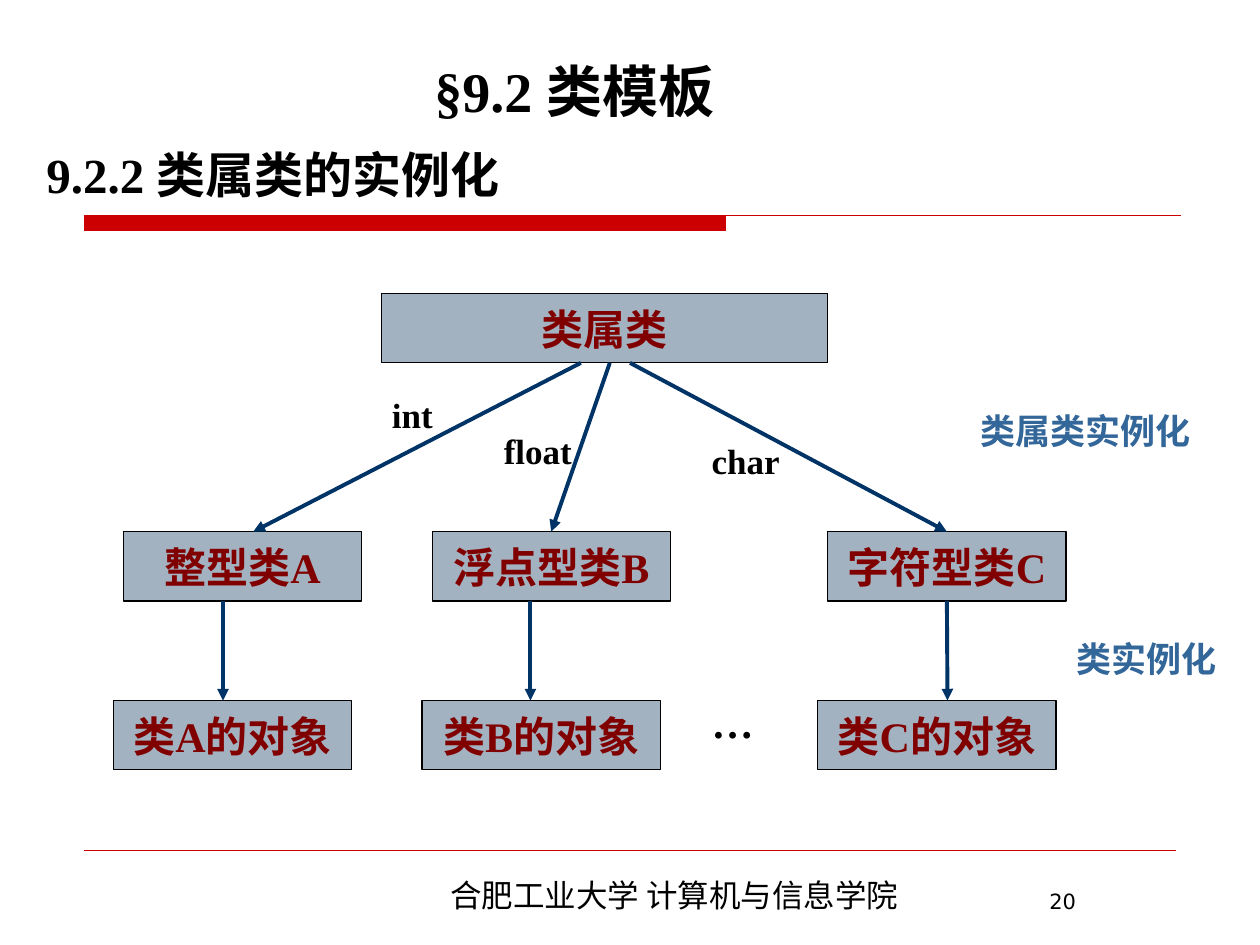
from dataclasses import dataclass
from typing import Optional

from lxml.etree import SubElement
from pptx import Presentation
from pptx.dml.color import RGBColor
from pptx.enum.shapes import MSO_CONNECTOR, MSO_SHAPE
from pptx.enum.text import MSO_ANCHOR, PP_ALIGN
from pptx.oxml.ns import qn
from pptx.util import Inches, Pt

COLORS = {
    "red": "CC0000",
    "black": "000000",
    "box": "A3B2C1",
    "maroon": "800000",
    "navy": "003366",
    "blue": "336699",
}
SERIF = "Times New Roman"
SANS = "Noto Sans CJK SC"
BOX_H, BOX_W = 0.55, 1.89
ROOT_Y, CLASS_Y, OBJECT_Y = 2.33, 4.22, 5.56
INSET = (0.1, 0.05)
FLUSH = (0, 0)


@dataclass
class Label:
    text: str
    x: float
    y: float
    w: float
    h: float
    size: int = 20
    color: str = "black"
    font: str = SERIF
    bold: bool = True
    align: PP_ALIGN = PP_ALIGN.LEFT
    anchor: MSO_ANCHOR = MSO_ANCHOR.TOP
    inset: tuple = INSET
    spacing: Optional[float] = None


@dataclass
class Box:
    text: str
    x: float
    y: float
    w: float = BOX_W
    font: str = SERIF


@dataclass
class Arrow:
    x1: float
    y1: float
    x2: float
    y2: float
    begin: Optional[str] = None
    end: Optional[str] = None


def rgb(name: str) -> RGBColor:
    return RGBColor.from_string(COLORS[name])


def apply(obj, values: dict) -> None:
    for name, value in values.items():
        setattr(obj, name, value)


def write(sp, label: Label, wrap: bool = True) -> None:
    tf = sp.text_frame
    dx, dy = (Inches(v) for v in label.inset)
    apply(tf, {
        "word_wrap": wrap, "vertical_anchor": label.anchor,
        "margin_left": dx, "margin_right": dx,
        "margin_top": dy, "margin_bottom": dy,
    })
    p = tf.paragraphs[0]
    apply(p, {"alignment": label.align, "line_spacing": label.spacing})
    r = p.add_run()
    r.text = label.text
    apply(r.font, {"name": label.font, "size": Pt(label.size), "bold": label.bold})
    r.font.color.rgb = rgb(label.color)
    SubElement(r.font._element, qn("a:ea"), typeface=SANS)


def add_label(s, label: Label) -> None:
    sp = s.shapes.add_textbox(*map(Inches, (label.x, label.y, label.w, label.h)))
    write(sp, label)


def add_box(s, box: Box):
    place = (box.x, box.y, box.w, BOX_H)
    sp = s.shapes.add_shape(MSO_SHAPE.RECTANGLE, *map(Inches, place))
    sp.shadow.inherit = False
    sp.fill.solid()
    sp.fill.fore_color.rgb = rgb("box")
    sp.line.color.rgb = rgb("black")
    sp.line.width = Pt(0.75)
    label = Label(box.text, *place, size=24, color="maroon", font=box.font,
                  align=PP_ALIGN.CENTER, anchor=MSO_ANCHOR.MIDDLE, inset=FLUSH)
    write(sp, label, wrap=False)
    return sp


def add_line(s, ends: tuple, color: str, width: float):
    line = s.shapes.add_connector(MSO_CONNECTOR.STRAIGHT, *map(Inches, ends))
    line.line.color.rgb = rgb(color)
    line.line.width = Pt(width)
    SubElement(line._element.spPr, qn("a:effectLst"))
    return line


def add_arrow(s, arrow: Arrow, boxes: dict) -> None:
    line = add_line(s, (arrow.x1, arrow.y1, arrow.x2, arrow.y2), "navy", 2.25)
    SubElement(line.line._get_or_add_ln(), qn("a:tailEnd"), type="triangle")
    if arrow.begin:
        line.begin_connect(boxes[arrow.begin], 2)
    if arrow.end:
        line.end_connect(boxes[arrow.end], 0)


def add_title_rule(s) -> None:
    left, middle, right, top, bottom = map(Inches, (0.67, 5.76, 9.37, 1.71, 1.83))
    fb = s.shapes.build_freeform(left, top)
    fb.add_line_segments([(middle, top), (middle, bottom), (left, bottom)], close=True)
    fb.move_to(left, top)
    fb.add_line_segments([(right, top)], close=False)
    sp = fb.convert_to_shape()
    sp.shadow.inherit = False
    sp.fill.solid()
    sp.fill.fore_color.rgb = rgb("red")
    sp.line.color.rgb = rgb("red")
    sp.line.width = Pt(0.75)


LABELS = [
    Label("合肥工业大学 计算机与信息学院", 2.32, 6.9, 6.06, 0.4, 18, font=SANS,
          bold=False, align=PP_ALIGN.CENTER),
    Label("20", 8.23, 7, 1.5, 0.29, 12, font="DejaVu Sans", bold=False),
    Label("9.2.2 类属类的实例化", 0.27, 1.15, 9.52, 0.63, 28, spacing=0.9),
    Label("§9.2 类模板 ", 0.35, 0.21, 8.52, 0.77, 32, align=PP_ALIGN.CENTER,
          anchor=MSO_ANCHOR.BOTTOM, inset=FLUSH),
    Label("int", 3.11, 3.12, 0.39, 0.33, inset=FLUSH),
    Label("float", 3.9, 3.36, 0.87, 0.44),
    Label("char", 5.55, 3.44, 0.87, 0.44),
    Label("…", 5.55, 5.48, 0.63, 0.5, 24),
    Label("类属类实例化", 7.68, 3.2, 2.05, 0.44, color="blue"),
    Label("类实例化", 8.54, 5.01, 1.3, 0.44, color="blue", inset=(0, 0.05)),
]
CLASSES = {"A": ("整型类", 0.98), "B": ("浮点型类", 3.43), "C": ("字符型类", 6.57)}
ROOT_BOTTOM, CLASS_BOTTOM = ROOT_Y + BOX_H, CLASS_Y + BOX_H
ARROWS = [
    Arrow(4.61, ROOT_BOTTOM, 2.01, CLASS_Y),
    Arrow(4.84, ROOT_BOTTOM, 4.37, CLASS_Y, end="B"),
    Arrow(5, ROOT_BOTTOM, 7.52, CLASS_Y, end="C"),
    Arrow(1.77, CLASS_BOTTOM, 1.77, OBJECT_Y),
    Arrow(4.21, CLASS_BOTTOM, 4.21, OBJECT_Y),
    Arrow(7.52, CLASS_BOTTOM, 7.52, OBJECT_Y, begin="C"),
]


def main() -> None:
    prs = Presentation()
    prs.slide_width, prs.slide_height = Inches(10), Inches(7.5)
    s = prs.slides.add_slide(prs.slide_layouts[6])
    add_title_rule(s)
    add_line(s, (0.67, 6.75, 9.33, 6.75), "red", 0.25)
    add_box(s, Box("类属类", 3.03, ROOT_Y, 3.54, "Roboto"))
    boxes = {}
    for key, (kind, x) in CLASSES.items():
        boxes[key] = add_box(s, Box(f"{kind}{key}", x, CLASS_Y))
        add_box(s, Box(f"类{key}的对象", x - 0.08, OBJECT_Y))
    for arrow in ARROWS:
        add_arrow(s, arrow, boxes)
    for label in LABELS:
        add_label(s, label)
    prs.save("out.pptx")


if __name__ == "__main__":
    main()
